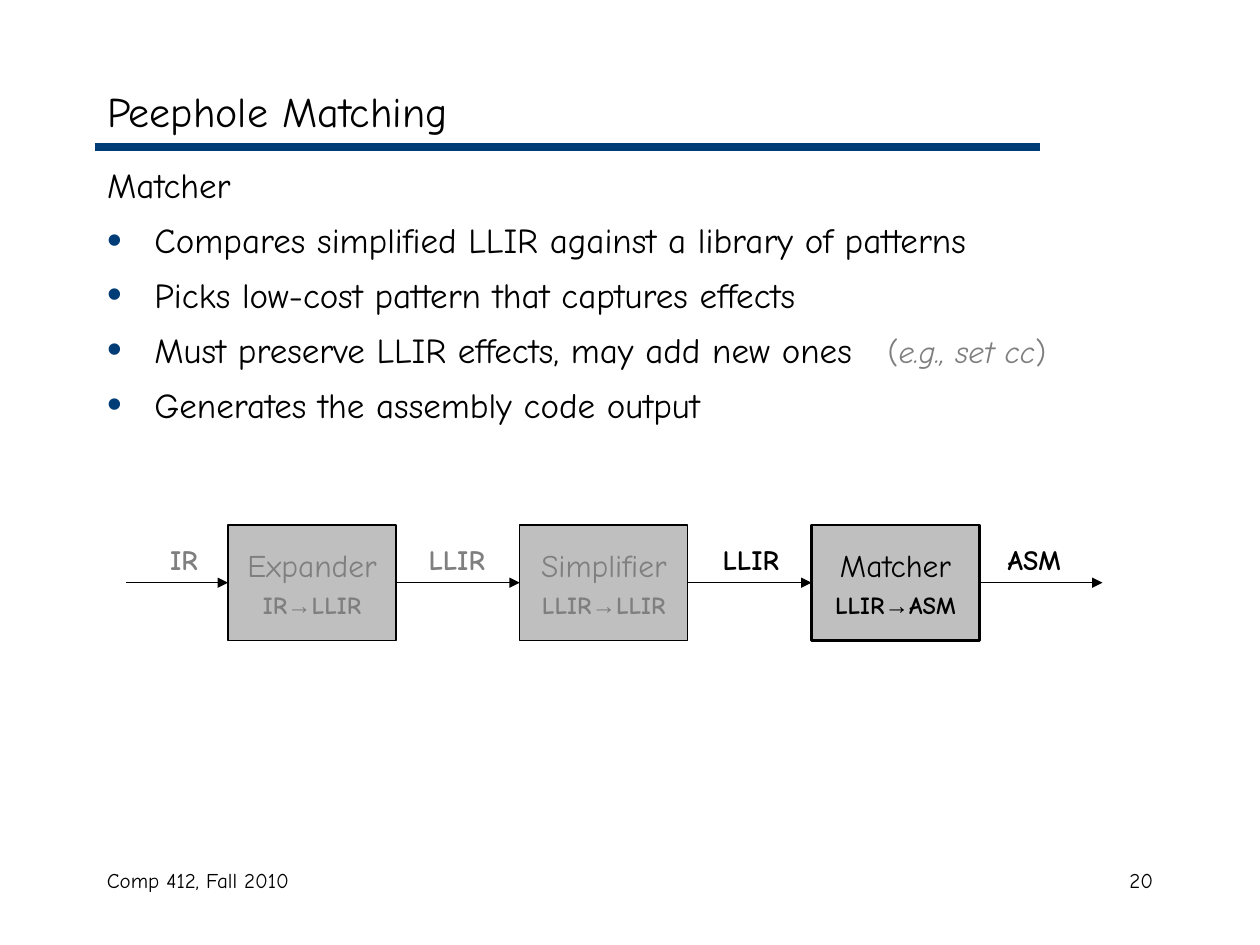
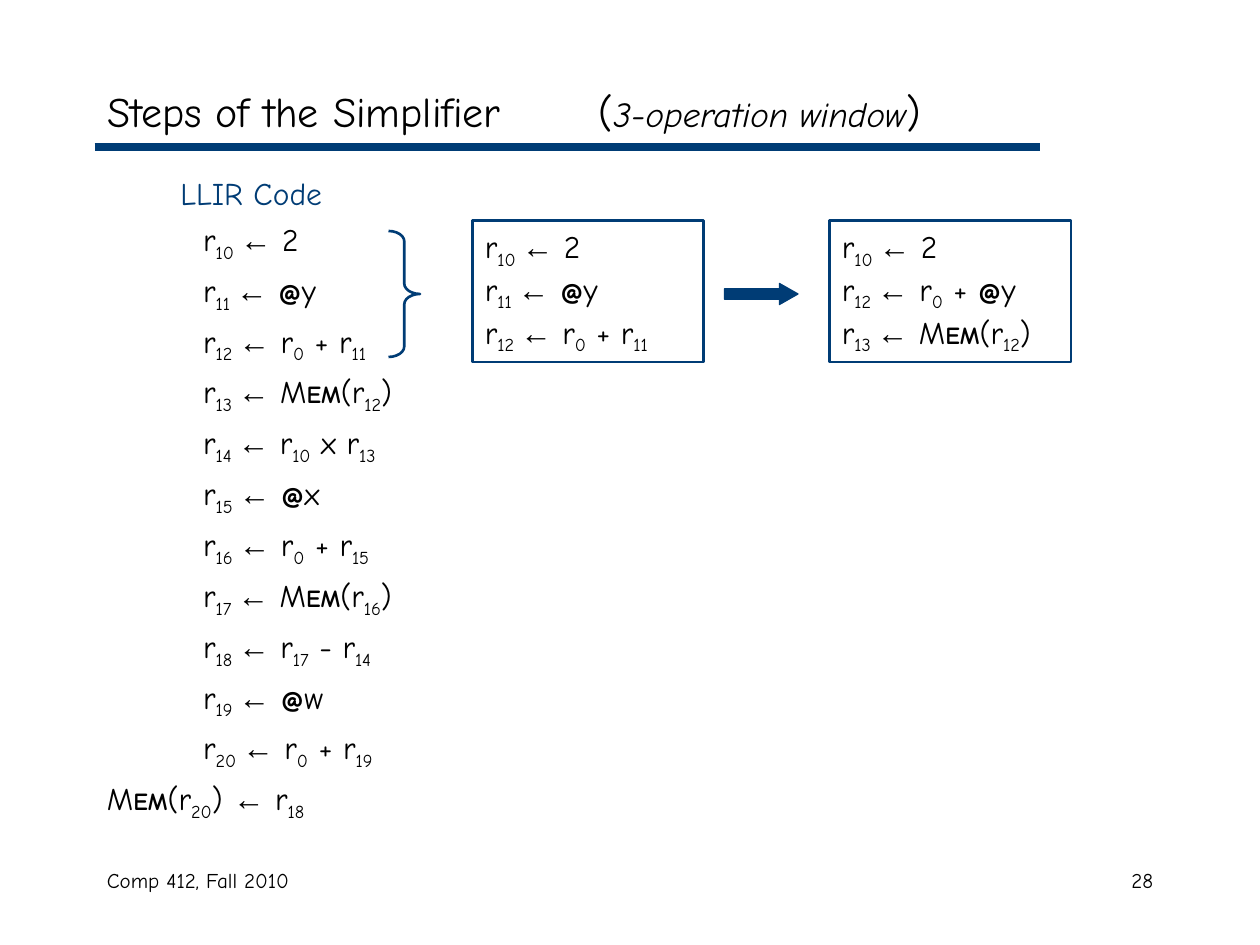
from lxml import etree
from pptx import Presentation
from pptx.dml.color import RGBColor
from pptx.enum import shapes, text
from pptx.oxml import ns
from pptx.util import Pt

# Shared look
NAVY = RGBColor(0x00, 0x3C, 0x75)
BLACK = RGBColor(0x00, 0x00, 0x00)
GREY = RGBColor(0x7F, 0x7F, 0x7F)
SILVER = RGBColor(0xBF, 0xBF, 0xBF)
FONT, ARROW_FONT = "Comic Neue", "Arial"
FOOTER = "Comp 412, Fall 2010"
LEFT, CONTENT_WIDTH = 54, 612

# Content: a span is (text, size, format)
MATCHER_TITLE = [("Peephole Matching", 24, {})]
MATCHER_HEADING = [("Matcher", 20, {})]
MATCHER_POINTS = [
    [("Compares simplified LLIR against a library of patterns", 20, {})],
    [("Picks low-cost pattern that captures effects", 20, {})],
    [("Must preserve LLIR effects, may add new ones\t", 20, {}),
     ("(", 18, {"color": GREY}),
     ("e.g., set cc", 18, {"color": GREY, "italic": True}),
     (")", 18, {"color": GREY})],
    [("Generates the assembly code output", 20, {})],
]
# Stage name, input, output, text colour, outline width
STAGES = [
    ("Expander", "IR", "LLIR", GREY, 0.75),
    ("Simplifier", "LLIR", "LLIR", GREY, 0.75),
    ("Matcher", "LLIR", "ASM", BLACK, 1.5),
]
# Text, left edge, colour
FLOW_LABELS = [("IR", 78, GREY), ("LLIR", 234, GREY),
               ("LLIR", 402, BLACK), ("ASM", 564, BLACK)]

SIMPLIFIER_TITLE = [
    ("Steps of the Simplifier\t(", 24, {}),
    ("3-operation window", 20, {"italic": True}),
    (")", 24, {}),
]
LLIR_CODE = [
    "r10 ← 2", "r11 ← @y", "r12 ← r0 + r11", "r13 ← MEM(r12)",
    "r14 ← r10 x r13", "r15 ← @x", "r16 ← r0 + r15", "r17 ← MEM(r16)",
    "r18 ← r17 - r14", "r19 ← @w", "r20 ← r0 + r19", "MEM(r20) ← r18",
]
# Window lines, left edge, width
WINDOWS = [
    (LLIR_CODE[:3], 270, 132),
    (["r10 ← 2", "r12 ← r0 + @y", "r13 ← MEM(r12)"], 474, 138),
]


# Text helpers
def add_spans(para, spans):
    for content, size, look in spans:
        span = para.add_run()
        span.text = content
        font = span.font
        font.size = Pt(size)
        font.name = look.get("font", FONT)
        font.color.rgb = look.get("color", BLACK)
        font.bold = look.get("bold", False)
        font.italic = look.get("italic", False)
        if look.get("subscript"):
            font._element.set("baseline", "-25000")


def add_property(para, tag, **values):
    return etree.SubElement(para._p.get_or_add_pPr(), ns.qn(tag), **values)


def set_indent(para, margin, first=0):
    properties = para._p.get_or_add_pPr()
    properties.set("marL", str(Pt(margin)))
    properties.set("indent", str(Pt(first)))


def add_tab(para, position):
    tabs = add_property(para, "a:tabLst")
    etree.SubElement(tabs, ns.qn("a:tab"), pos=str(Pt(position)), algn="l")


def next_para(frame, index):
    return frame.paragraphs[0] if index == 0 else frame.add_paragraph()


def add_label(page, spans, left, top, width, height, align=text.PP_ALIGN.LEFT):
    box = page.shapes.add_textbox(Pt(left), Pt(top), Pt(width), Pt(height))
    box.text_frame.word_wrap = True
    para = box.text_frame.paragraphs[0]
    para.alignment = align
    add_spans(para, spans)
    return box


def code_spans(line):
    """Lower the register numbers, embolden @ and the small capitals."""
    spans, register = [], False
    for place, char in enumerate(line):
        before_arrow = char == " " and line[place + 1] == "←"
        register = (char.isdigit() and (register or line[place - 1] == "r")
                    or register and before_arrow)
        size, look = 18, {}
        if register:
            look = {"subscript": True}
        elif char == "←":
            look = {"font": ARROW_FONT}
        elif char == "@":
            size, look = 16, {"bold": True}
        elif char in "EM" and place > 0 and line[place - 1] in "ME":
            size, look = 14, {"bold": True}
        if spans and spans[-1][1:] == (size, look):
            char = spans.pop()[0] + char
        spans.append((char, size, look))
    return spans


# Shape helpers
def add_line(page, start, end, y, color, width, arrow=False):
    line = page.shapes.add_connector(
        shapes.MSO_CONNECTOR.STRAIGHT, Pt(start), Pt(y), Pt(end), Pt(y))
    line.line.color.rgb = color
    line.line.width = Pt(width)
    if arrow:
        etree.SubElement(line.line._get_or_add_ln(), ns.qn("a:tailEnd"),
                         type="triangle")
    etree.SubElement(line._element.spPr, ns.qn("a:effectLst"))


def add_preset(page, kind, left, top, width, height, line, weight, fill=None):
    shape = page.shapes.add_shape(kind, Pt(left), Pt(top), Pt(width), Pt(height))
    shape.shadow.inherit = False
    shape.line.color.rgb = line
    shape.line.width = Pt(weight)
    if fill is None:
        shape.fill.background()
    else:
        shape.fill.solid()
        shape.fill.fore_color.rgb = fill
    return shape


def place(holder, top, height):
    holder.left, holder.top = Pt(LEFT), Pt(top)
    holder.width, holder.height = Pt(CONTENT_WIDTH), Pt(height)
    holder.text_frame.auto_size = text.MSO_AUTO_SIZE.NONE


def add_page(deck, layout, title_spans, number):
    page = deck.slides.add_slide(deck.slide_layouts[layout])
    add_line(page, LEFT, 594, 84, NAVY, 4.5)
    title = page.shapes.title
    place(title, 42, 42)
    title.text_frame.vertical_anchor = text.MSO_ANCHOR.MIDDLE
    para = title.text_frame.paragraphs[0]
    para.alignment = text.PP_ALIGN.LEFT
    add_tab(para, 281)
    add_spans(para, title_spans)
    add_label(page, [(FOOTER, 12, {})], LEFT, 492, 228, 36)
    add_label(page, [(str(number), 12, {})], 516, 492, 150, 36,
              text.PP_ALIGN.RIGHT)
    return page


# Matcher slide
def add_matcher_page(deck):
    page = add_page(deck, 1, MATCHER_TITLE, 20)
    body = page.placeholders[1]
    place(body, 90, 390)
    for index, spans in enumerate([MATCHER_HEADING] + MATCHER_POINTS):
        para = next_para(body.text_frame, index)
        set_indent(para, 27, -27)
        if index == 0:
            add_property(para, "a:buNone")
        else:
            color = add_property(para, "a:buClr")
            etree.SubElement(color, ns.qn("a:srgbClr"), val=str(NAVY))
            add_property(para, "a:buSzPct", val="120000")
            add_property(para, "a:buChar", char="•")
            add_tab(para, 446)
        para.space_before = Pt(7.3 if index else 0)
        add_spans(para, spans)

    # Pipeline of stages, joined by arrows
    stage_width, pitch, first_left, flow_y = 96, 166.7, 130.3, 333
    start = 72
    for index, (name, source, target, color, weight) in enumerate(STAGES):
        left = first_left + index * pitch
        box = add_preset(page, shapes.MSO_SHAPE.RECTANGLE, left, 300,
                         stage_width, 66, BLACK, weight, SILVER)
        frame = box.text_frame
        frame.word_wrap = False
        frame.vertical_anchor = text.MSO_ANCHOR.MIDDLE
        bold = {"color": color, "bold": True}
        rows = [[(name, 18, {"color": color})],
                [(source, 14, bold), ("→", 14, {**bold, "font": ARROW_FONT}),
                 (target, 14, bold)]]
        for row, spans in enumerate(rows):
            para = next_para(frame, row)
            para.alignment = text.PP_ALIGN.CENTER
            para.space_before = Pt(3.5 if row else 0)
            add_spans(para, spans)
        add_line(page, start, left, flow_y, BLACK, 0.75, arrow=True)
        start = left + stage_width
    add_line(page, start, 630, flow_y, BLACK, 0.75, arrow=True)
    for label, left, color in FLOW_LABELS:
        add_label(page, [(label, 16, {"color": color, "bold": True})],
                  left, 306.5, 54, 26.6, text.PP_ALIGN.CENTER)


# Simplifier slide
def add_simplifier_page(deck):
    page = add_page(deck, 5, SIMPLIFIER_TITLE, 28)
    for lines, left, width in WINDOWS:
        window = add_preset(page, shapes.MSO_SHAPE.RECTANGLE, left, 126,
                            width, 81, NAVY, 1.5)
        window.text_frame.word_wrap = True
        window.text_frame.vertical_anchor = text.MSO_ANCHOR.TOP
        for index, line in enumerate(lines):
            para = next_para(window.text_frame, index)
            para.alignment = text.PP_ALIGN.LEFT
            add_spans(para, code_spans(line))

    # Brace around the window and arrow to its result
    brace = add_preset(page, shapes.MSO_SHAPE.RIGHT_BRACE, 222, 132, 18, 72,
                       NAVY, 1.5)
    brace.adjustments[0] = 0.33
    arrow = add_preset(page, shapes.MSO_SHAPE.RIGHT_ARROW, 414, 162, 42, 12,
                       NAVY, 0.75, NAVY)
    arrow.adjustments[1] = 0.88

    # Full code listing
    listing = add_label(page, [("LLIR Code", 18, {"color": NAVY})],
                        LEFT, 96, 204, 378)
    set_indent(listing.text_frame.paragraphs[0], 42)
    for line in LLIR_CODE:
        para = listing.text_frame.add_paragraph()
        set_indent(para, 55 if line.startswith("r") else 0)
        para.space_before = Pt(4.5)
        add_spans(para, code_spans(line))


def main():
    deck = Presentation()
    deck.slide_width, deck.slide_height = Pt(720), Pt(540)
    add_matcher_page(deck)
    add_simplifier_page(deck)
    deck.save("out.pptx")


if __name__ == "__main__":
    main()
